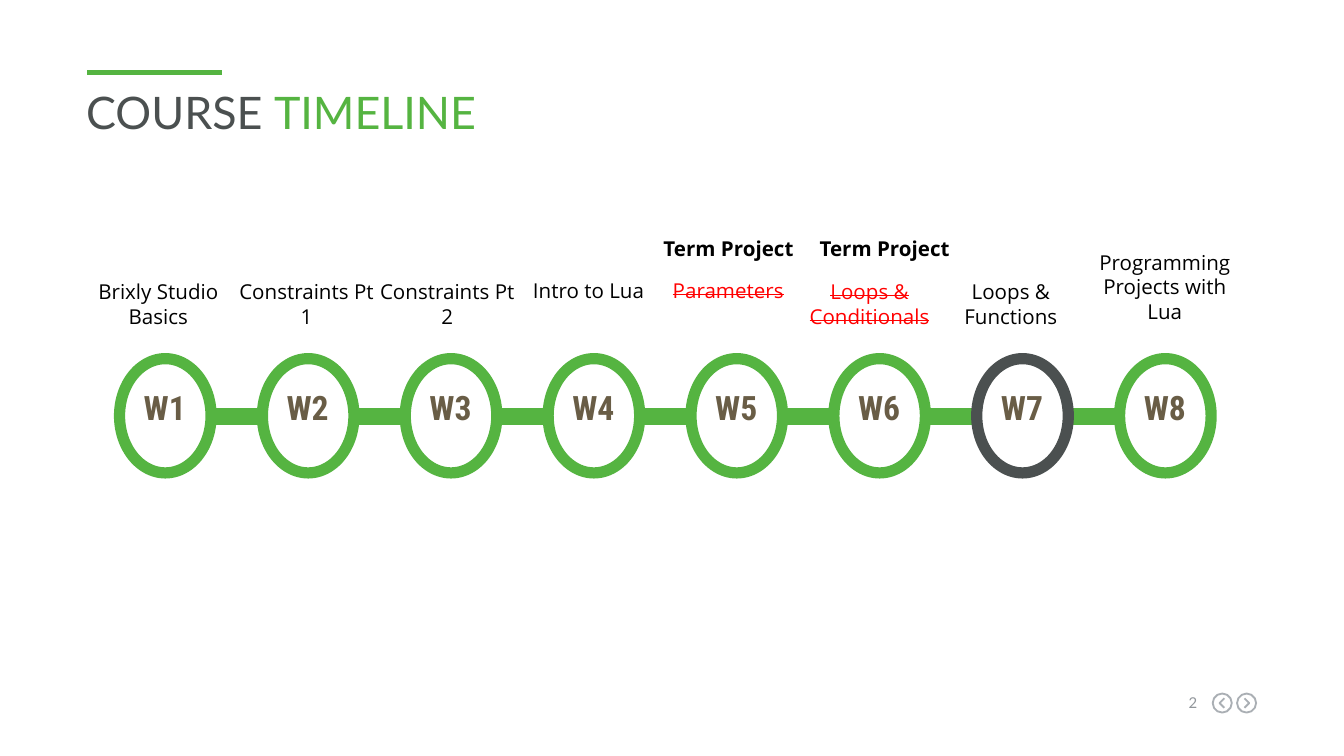
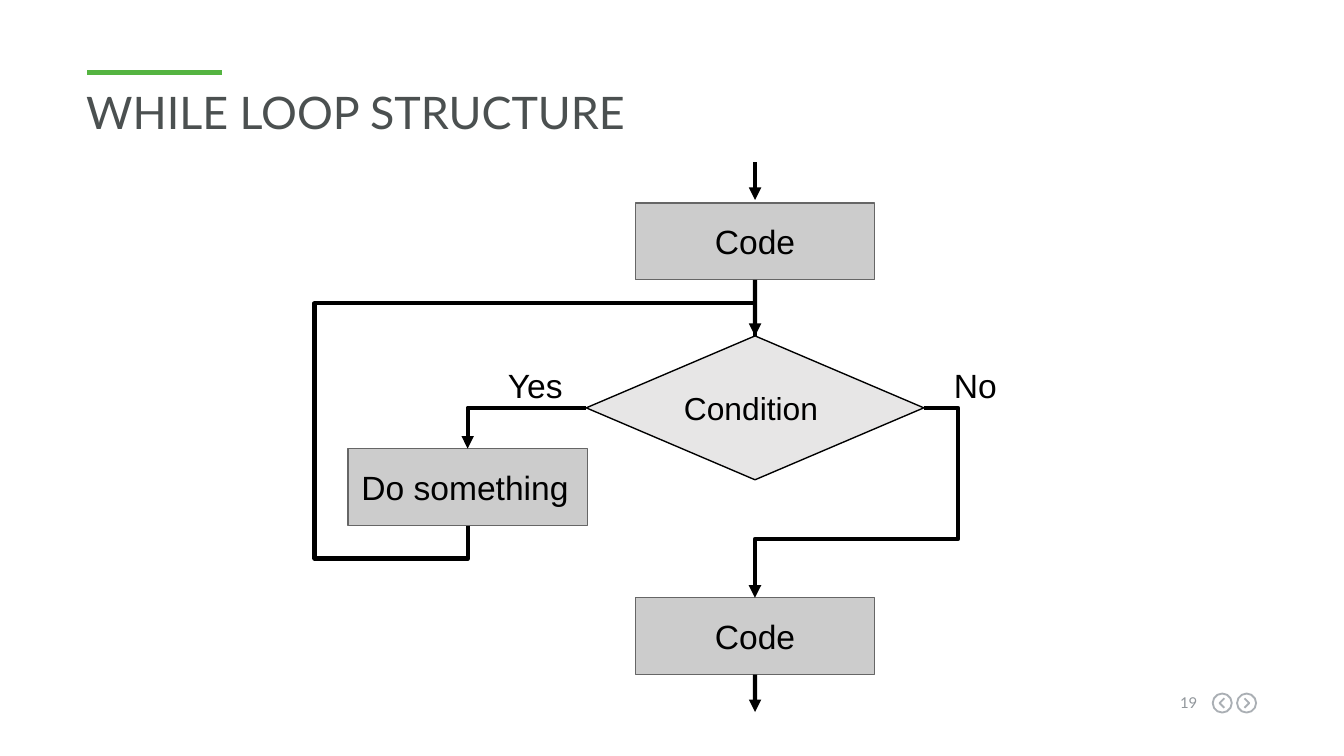
from lxml import etree
from pptx import Presentation
from pptx import util as u
from pptx.dml.color import RGBColor
from pptx.enum import shapes, text
from pptx.oxml.ns import qn

C = {
    "green": "55B441", "slate": "4B5050", "brown": "695D46", "red": "FF0000",
    "black": "000000", "white": "FFFFFF", "page": "91969B", "nav": "AAAFB4",
    "box": "CCCCCC", "box_edge": "666666", "diamond": "E7E6E6",
}
RGB = {name: RGBColor.from_string(value) for name, value in C.items()}
LEFT, CENTER, RIGHT = text.PP_ALIGN.LEFT, text.PP_ALIGN.CENTER, text.PP_ALIGN.RIGHT
TOP, MIDDLE = text.MSO_ANCHOR.TOP, text.MSO_ANCHOR.MIDDLE


def write(sp, runs, size, font, bold=False, strike=False, align=LEFT, anchor=TOP, inset=0.25):
    """Fill a shape with one paragraph made of (text, colour) runs."""
    tf = sp.text_frame
    tf.word_wrap = True
    tf.vertical_anchor = anchor
    tf.margin_left = tf.margin_right = tf.margin_top = tf.margin_bottom = u.Cm(inset)
    p = tf.paragraphs[0]
    p.alignment = align
    for content, color in runs:
        r = p.add_run()
        r.text = content
        r.font.size, r.font.name, r.font.bold = u.Pt(size), font, bold
        r.font.color.rgb = RGB[color]
        if strike:
            r._r.get_or_add_rPr().set("strike", "sngStrike")


def connect(s, ends, color="black", arrow=True, bends=None, adjust=(), turn=0):
    """Draw a straight line, or an elbow with the given number of segments."""
    kind = shapes.MSO_CONNECTOR.ELBOW if bends else shapes.MSO_CONNECTOR.STRAIGHT
    c = s.shapes.add_connector(kind, *map(u.Cm, ends))
    c.line.color.rgb, c.line.width = RGB[color], u.Pt(2.25)
    spPr = c._element.spPr
    if bends:
        geom = spPr.find(qn("a:prstGeom"))
        geom.set("prst", f"bentConnector{bends}")
        guides = geom.find(qn("a:avLst"))
        if guides is None:
            guides = etree.SubElement(geom, qn("a:avLst"))
        for n, value in enumerate(adjust, 1):
            etree.SubElement(guides, qn("a:gd"), name=f"adj{n}", fmla=f"val {value}")
        if turn:
            spPr.find(qn("a:xfrm")).set("rot", str(turn * 60000))
    if arrow:
        etree.SubElement(spPr.find(qn("a:ln")), qn("a:tailEnd"), type="triangle")
    etree.SubElement(spPr, qn("a:effectLst"))
    return c


prs = Presentation()
prs.slide_width, prs.slide_height = u.Cm(25.4), u.Cm(14.29)

# Shared frame: accent line, title, page number and navigation buttons
titles = [
    ("2", [("COURSE ", "slate"), ("TIMELINE", "green")]),
    ("19", [("WHILE LOOP STRUCTURE", "slate")]),
]
for number, title in titles:
    s = prs.slides.add_slide(prs.slide_layouts[6])
    connect(s, (1.65, 1.37, 4.19, 1.37), "green", arrow=False)
    sp = s.shapes.add_textbox(*map(u.Cm, (1.63, 1.6, 22.1, 1.07)))
    write(sp, title, 24, "Lato", inset=0)
    sp = s.shapes.add_textbox(*map(u.Cm, (22.05, 13.11, 0.58, 0.33)))
    write(sp, [(number, "page")], 8, "Lato", align=RIGHT, inset=0)
    for center, direction in ((23.1, -1), (23.56, 1)):
        ring = s.shapes.add_shape(
            shapes.MSO_SHAPE.OVAL, *map(u.Cm, (center - 0.18, 13.11, 0.36, 0.36)))
        back, tip = u.Cm(center - 0.04 * direction), u.Cm(center + 0.05 * direction)
        fb = s.shapes.build_freeform(back, u.Cm(13.2))
        fb.add_line_segments([(tip, u.Cm(13.29)), (back, u.Cm(13.38))], close=False)
        for sp in (ring, fb.convert_to_shape()):
            sp.shadow.inherit = False
            sp.fill.background()
            sp.line.color.rgb, sp.line.width = RGB["nav"], u.Pt(1)

timeline, flow = prs.slides

# Course timeline
s = timeline
PITCH, CURRENT_WEEK = 2.7, 7
bar = s.shapes.add_shape(shapes.MSO_SHAPE.RECTANGLE, *map(u.Cm, (2.39, 7.72, 19.58, 0.3)))
bar.shadow.inherit = False
bar.fill.solid()
bar.fill.fore_color.rgb = bar.line.color.rgb = RGB["green"]
bar.line.width = u.Pt(0.75)

for i in range(8):
    sp = s.shapes.add_shape(
        shapes.MSO_SHAPE.OVAL, *map(u.Cm, (2.26 + PITCH * i, 6.78, 1.73, 2.16)))
    sp.shadow.inherit = False
    sp.fill.solid()
    sp.fill.fore_color.rgb = RGB["white"]
    sp.line.color.rgb = RGB["slate" if i + 1 == CURRENT_WEEK else "green"]
    sp.line.width = u.Pt(6)
    sp = s.shapes.add_textbox(*map(u.Cm, (2.39 + PITCH * i, 7.06, 1.45, 1.63)))
    write(sp, [(f"W{i + 1}", "brown")], 18, "Roboto Condensed", bold=True, align=CENTER)

topics = [
    ("Brixly Studio Basics", 1.47, 5.03, 3.05),
    ("Constraints Pt 1", 4.27, 5.03, 3.05),
    ("Constraints Pt 2", 6.93, 5.03, 3.05),
    ("Intro to Lua", 9.6, 5.03, 3.05),
    ("Parameters", 12.24, 5.03, 3.05),
    ("Loops & Conditionals", 14.91, 5.03, 3.05),
    ("Loops & Functions", 17.58, 5.03, 3.05),
    ("Programming Projects with Lua", 20.29, 4.47, 3.45),
]
dropped = ("Parameters", "Loops & Conditionals")
for topic, x, y, w in topics:
    sp = s.shapes.add_textbox(*map(u.Cm, (x, y, w, 1.02)))
    write(sp, [(topic, "red" if topic in dropped else "black")], 11, "Open Sans",
          strike=topic in dropped, align=CENTER)
for x in (12.29, 15.24):
    sp = s.shapes.add_textbox(*map(u.Cm, (x, 4.22, 3.05, 1.02)))
    write(sp, [("Term Project", "black")], 11, "Open Sans", bold=True)

# While loop flowchart
s = flow
AXIS = 14.27
PROCESS = shapes.MSO_SHAPE.FLOWCHART_PROCESS
DECISION = shapes.MSO_SHAPE.FLOWCHART_DECISION
steps = [
    ("Condition", DECISION, (11.08, 6.35, 6.38, 2.72), "diamond", "black", 17, LEFT),
    ("Do something", PROCESS, (6.58, 8.48, 4.52, 1.45), "box", "box_edge", 18, LEFT),
    ("Code", PROCESS, (12.01, 3.84, 4.52, 1.45), "box", "box_edge", 18, CENTER),
    ("Code", PROCESS, (12.01, 11.3, 4.52, 1.45), "box", "box_edge", 18, CENTER),
]
nodes = []
for label, kind, place, fill, edge, size, align in steps:
    sp = s.shapes.add_shape(kind, *map(u.Cm, place))
    sp.shadow.inherit = False
    sp.fill.solid()
    sp.fill.fore_color.rgb = RGB[fill]
    sp.line.color.rgb, sp.line.width = RGB[edge], u.Pt(0.75)
    write(sp, [(label, "black")], size, "Arial", align=align, anchor=MIDDLE)
    nodes.append(sp)
condition, body, before, after = nodes

for answer, x in (("Yes", 9.35), ("No", 17.78)):
    sp = s.shapes.add_textbox(*map(u.Cm, (x, 6.65, 1.73, 0.97)))
    write(sp, [(answer, "black")], 18, "Arial")

connect(s, (AXIS, 3.07, AXIS, 3.78))
c = connect(s, (AXIS, 5.29, AXIS, 6.35))
c.begin_connect(before, 2)
c.end_connect(condition, 0)
c = connect(s, (AXIS, 12.75, AXIS, 13.46))
c.begin_connect(after, 2)
connect(s, (11.08, 7.71, 8.84, 8.48), bends=2)
connect(s, (17.46, 7.71, AXIS, 11.3), bends=4, adjust=(-20400, 69000))
connect(s, (9.77, 5.43, 13.35, 10.86), arrow=False, bends=5,
        adjust=(-17400, -53400, 117400), turn=270)

prs.save("out.pptx")
